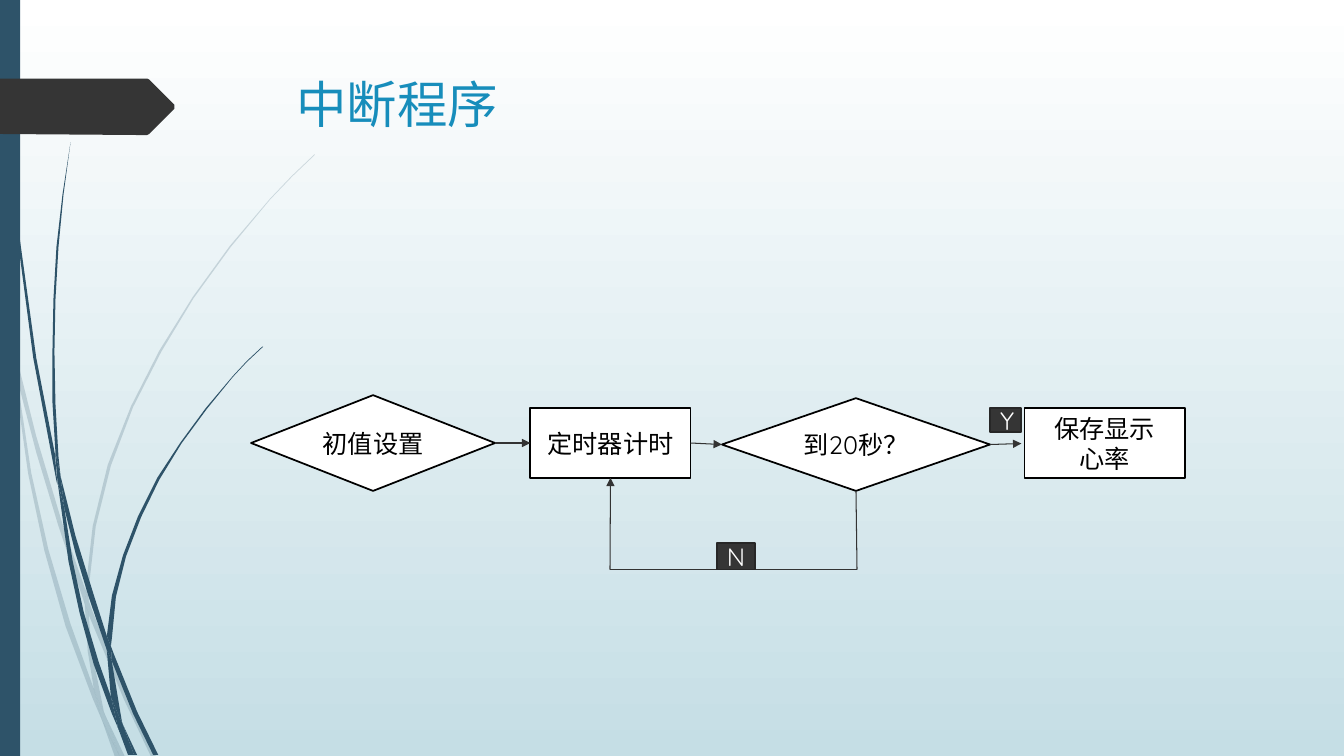
from dataclasses import dataclass

from lxml import etree
from pptx import Presentation
from pptx import util as u
from pptx.dml.color import RGBColor
from pptx.enum import shapes, text
from pptx.oxml.ns import qn

PX = 9144
TOP, LEFT, BOTTOM, RIGHT = range(4)


@dataclass(frozen=True)
class Theme:
    font: str = "Quicksand"
    title_size: int = 36
    body_size: int = 18
    title: str = "178DBB"
    accent: str = "2E5369"
    sky: str = "C5DEE5"
    dark: str = "353535"
    label_line: str = "272727"
    link: str = "333333"
    white: str = "FFFFFF"
    black: str = "000000"
    node_line: float = 1.25
    link_line: float = 0.75


THEME = Theme()

PALE_BLADES = [
    [(11, 350), (9, 322), (0, 282), (0, 299), (10, 344)],
    [(58, 522), (84, 599), (85, 586), (62, 520), (36, 433), (14, 345),
     (17, 376), (36, 449)],
    [(92, 607), (88, 596), (88, 610), (123, 694), (150, 751), (155, 751),
     (127, 692)],
    [(119, 751), (124, 751), (105, 711)],
    [(93, 683), (70, 619), (48, 545), (31, 469), (17, 376), (11, 350),
     (28, 470), (44, 546), (65, 621), (92, 693), (101, 714), (99, 707)],
    [(84, 599), (87, 646), (93, 683), (96, 692), (105, 711), (103, 706),
     (91, 646), (88, 610), (88, 608)],
    [(88, 584), (95, 522), (110, 462), (132, 404), (160, 349), (192, 296),
     (229, 245), (268, 198), (290, 175), (312, 154), (312, 153), (289, 175),
     (268, 197), (228, 244), (191, 295), (158, 348), (130, 403), (107, 461),
     (92, 522), (85, 584), (85, 586), (88, 596)],
    [(101, 714), (114, 751), (119, 751)],
    [(88, 608), (88, 610), (88, 596), (85, 586), (84, 599)],
    [(96, 692), (93, 683), (99, 707), (101, 714), (119, 751), (105, 711)],
]
DARK_BLADES = [
    [(7, 110), (17, 233), (33, 355), (56, 477), (57, 481), (55, 457),
     (55, 453), (36, 355), (19, 232), (8, 109), (5, 48), (4, 0), (3, 0),
     (4, 48)],
    [(88, 592), (106, 645), (106, 633), (106, 631), (93, 590), (75, 532),
     (60, 472), (64, 505), (75, 549)],
    [(113, 649), (110, 641), (111, 656), (132, 708), (152, 749), (157, 749),
     (136, 706)],
    [(110, 691), (98, 657), (83, 607), (72, 556), (64, 505), (57, 477),
     (68, 557), (79, 608), (93, 659), (111, 708), (117, 722), (116, 717)],
    [(60, 472), (58, 453), (55, 401), (54, 349), (55, 297), (58, 245),
     (63, 193), (70, 141), (62, 193), (56, 245), (53, 297), (52, 349),
     (52, 399), (55, 449)],
    [(133, 749), (136, 749), (122, 719)],
    [(57, 477), (64, 505), (60, 472), (55, 449), (55, 453)],
    [(111, 633), (115, 592), (125, 552), (140, 513), (158, 476), (180, 440),
     (205, 406), (231, 374), (245, 359), (261, 344), (260, 344), (245, 358),
     (231, 373), (204, 405), (179, 439), (156, 474), (137, 512), (122, 551),
     (111, 591), (106, 631), (110, 641)],
    [(117, 722), (127, 749), (131, 749)],
    [(106, 645), (110, 691), (116, 706), (122, 719), (121, 716), (111, 656),
     (109, 651)],
    [(106, 645), (109, 651), (111, 656), (110, 641), (106, 631), (106, 633)],
    [(116, 706), (110, 691), (116, 717), (117, 722), (130, 749), (133, 749),
     (122, 719)],
]
TAG = [(173, 108), (148, 133), (146, 134), (136, 134), (0, 133), (0, 78),
       (136, 78), (146, 78), (148, 79), (173, 104)]


def px(*lengths):
    return [length * PX for length in lengths]


def color(value):
    return RGBColor.from_string(value)


def paint(shape, fill, line=None):
    shape.shadow.inherit = False
    shape.fill.solid()
    shape.fill.fore_color.rgb = color(fill)
    if line:
        shape.line.color.rgb = color(line)
        shape.line.width = u.Pt(THEME.node_line)
    else:
        shape.line.fill.background()


def write(shape, words, size, ink, align, anchor):
    frame = shape.text_frame
    frame.text = words
    frame.word_wrap = True
    frame.vertical_anchor = anchor
    for paragraph in frame.paragraphs:
        paragraph.alignment = align
        for run in paragraph.runs:
            run.font.name = THEME.font
            run.font.size = u.Pt(size)
            run.font.color.rgb = color(ink)


def add_background(slide):
    fill = slide.background.fill
    fill.gradient()
    fill.gradient_angle = 270
    for stop, value in zip(fill.gradient_stops, (THEME.white, THEME.sky)):
        stop.color.rgb = color(value)


def add_outline(slide, points, fill, opacity=100):
    builder = slide.shapes.build_freeform(*points[0], scale=PX)
    builder.add_line_segments(points[1:], close=True)
    shape = builder.convert_to_shape()
    paint(shape, fill)
    if opacity < 100:
        tint = shape._element.spPr.find(qn("a:solidFill"))[0]
        etree.SubElement(tint, qn("a:alpha"), val=str(opacity * 1000))


def add_title(slide, words, box):
    title = slide.shapes.title
    title.left, title.top, title.width, title.height = px(*box)
    write(title, words, THEME.title_size, THEME.title,
          text.PP_ALIGN.LEFT, text.MSO_ANCHOR.TOP)
    title.text_frame.auto_size = text.MSO_AUTO_SIZE.NONE


def add_node(slide, kind, box, words, fill=THEME.white, line=THEME.black,
             ink=THEME.black):
    shape = slide.shapes.add_shape(kind, *px(*box))
    paint(shape, fill, line)
    write(shape, words, THEME.body_size, ink,
          text.PP_ALIGN.CENTER, text.MSO_ANCHOR.MIDDLE)
    return shape


def add_label(slide, box, words):
    add_node(slide, shapes.MSO_SHAPE.RECTANGLE, box, words,
             THEME.dark, THEME.label_line, THEME.white)


def add_link(slide, start, end, arrow=True):
    link = slide.shapes.add_connector(
        shapes.MSO_CONNECTOR.STRAIGHT, *px(*start, *end))
    link.line.color.rgb = color(THEME.link)
    link.line.width = u.Pt(THEME.link_line)
    if arrow:
        etree.SubElement(link.line._get_or_add_ln(), qn("a:tailEnd"),
                         type="triangle")
    etree.SubElement(link._element.spPr, qn("a:effectLst"))
    return link


def add_flow(slide):
    diamond, box = shapes.MSO_SHAPE.DIAMOND, shapes.MSO_SHAPE.RECTANGLE
    setup = add_node(slide, diamond, (249, 392, 242, 95), "初值设置")
    timer = add_node(slide, box, (526, 405, 159, 69), "定时器计时")
    check = add_node(slide, diamond, (716, 395, 266, 92), "到20秒？")
    add_node(slide, box, (1016, 405, 159, 69), "保存显示\n心率")

    first = add_link(slide, (491, 440), (526, 440))
    first.begin_connect(setup, RIGHT)
    first.end_connect(timer, LEFT)
    second = add_link(slide, (685, 440), (716, 440))
    second.begin_connect(timer, RIGHT)
    second.end_connect(check, LEFT)
    add_link(slide, (982, 440), (1013, 440)).begin_connect(check, RIGHT)

    turn, back = (850, 565), (605, 565)
    add_link(slide, (849, 487), turn, arrow=False).begin_connect(check, BOTTOM)
    add_link(slide, turn, back, arrow=False)
    add_link(slide, back, (605, 474)).end_connect(timer, BOTTOM)
    add_label(slide, (711, 539, 38, 26), "N")
    add_label(slide, (982, 405, 31, 24), "Y")


def main():
    presentation = Presentation()
    presentation.slide_width, presentation.slide_height = px(1333, 750)
    slide = presentation.slides.add_slide(presentation.slide_layouts[5])
    add_background(slide)
    for blades, opacity in ((PALE_BLADES, 20), (DARK_BLADES, 100)):
        for points in blades:
            add_outline(slide, points, THEME.accent, opacity)
    bar = slide.shapes.add_shape(shapes.MSO_SHAPE.RECTANGLE, *px(0, 0, 20, 750))
    paint(bar, THEME.accent)
    add_outline(slide, TAG, THEME.dark)
    add_title(slide, "中断程序", (284, 68, 975, 140))
    add_flow(slide)
    presentation.save("out.pptx")


if __name__ == "__main__":
    main()
